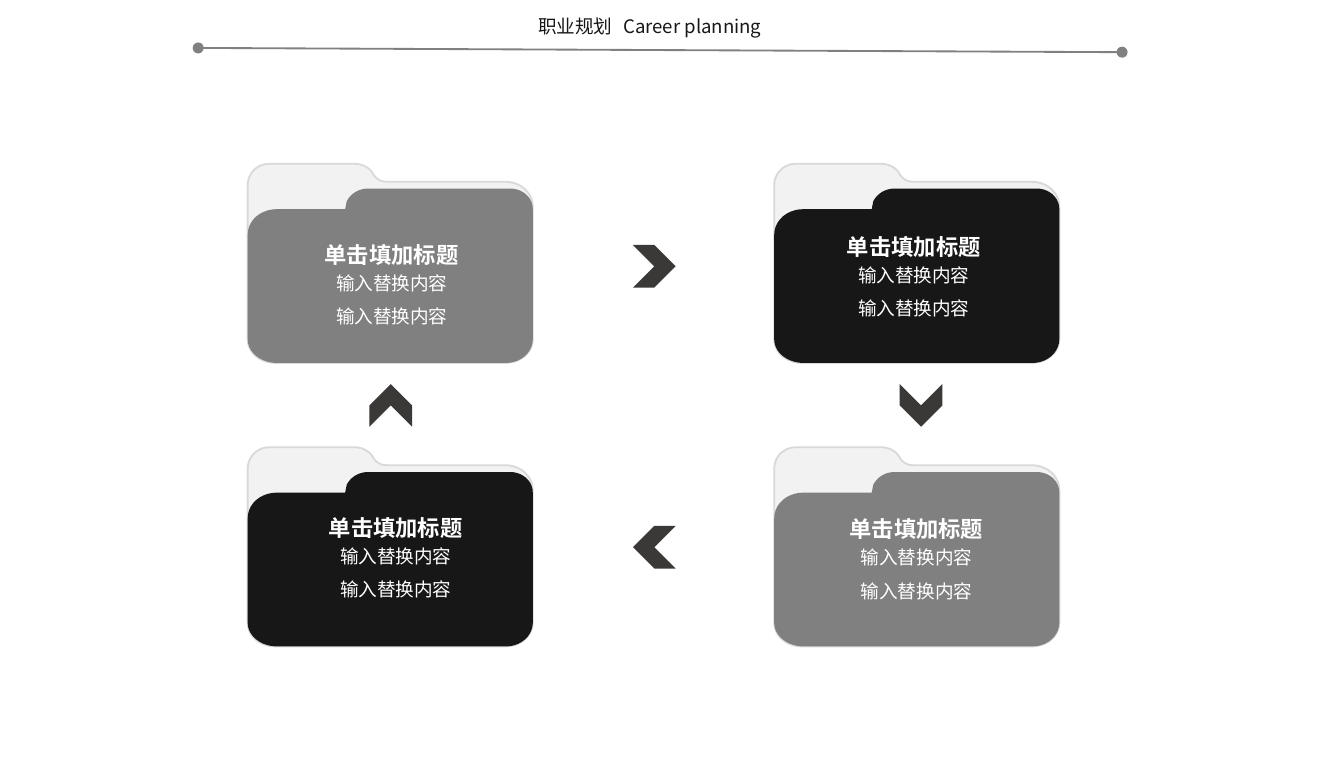
from lxml import etree
from pptx import Presentation
from pptx.dml.color import RGBColor
from pptx.enum import shapes, text
from pptx.oxml.ns import qn
from pptx.util import Cm, Pt

FONT = "Noto Sans CJK SC"
INK, GREY, WHITE, ARROW = "181717", "808080", "FFFFFF", "3B3838"
PAPER, EDGE = "F2F2F2", "D9D9D9"

# Folder outlines in cm: two numbers are a corner, six are a Bezier curve
FOLDER_BACK = [
    (0.41, 0), (2.03, 0), (2.16, 0, 2.29, 0.06, 2.36, 0.16), (2.39, 0.21),
    (2.44, 0.28, 2.51, 0.34, 2.64, 0.34), (4.88, 0.34),
    (5.18, 0.34, 5.41, 0.55, 5.41, 0.81), (5.41, 3.33),
    (5.41, 3.58, 5.18, 3.78, 4.88, 3.78), (0.53, 3.78),
    (0.23, 3.78, 0, 3.58, 0, 3.33), (0, 0.41), (0, 0.18, 0.18, 0, 0.41, 0),
]
FOLDER_FRONT = [
    (2.29, 0.47), (4.98, 0.47), (5.21, 0.47, 5.41, 0.63, 5.41, 0.86),
    (5.41, 3.33), (5.41, 3.58, 5.18, 3.78, 4.9, 3.78), (0.56, 3.78),
    (0.25, 3.78, 0, 3.58, 0, 3.33), (0, 1.35),
    (0, 1.07, 0.25, 0.86, 0.56, 0.86), (1.85, 0.86), (1.88, 0.71),
    (1.96, 0.56, 2.11, 0.47, 2.29, 0.47),
]


def rgb(value):
    return RGBColor.from_string(value)


def place(sp, x, y, w, h):
    sp.left, sp.top, sp.width, sp.height = Cm(x), Cm(y), Cm(w), Cm(h)


def write(sp, *lines, size=10, color=INK, bold=False, align="LEFT",
          before=0, spacing=None, wrap=True, inset=None):
    tf = sp.text_frame
    tf.word_wrap = wrap
    tf.auto_size = text.MSO_AUTO_SIZE.SHAPE_TO_FIT_TEXT
    tf.vertical_anchor = text.MSO_ANCHOR.TOP
    if inset is not None:
        tf.margin_left = tf.margin_right = Cm(inset)
        tf.margin_top = tf.margin_bottom = Cm(inset)
    for i, line in enumerate(lines):
        p = tf.add_paragraph() if i else tf.paragraphs[0]
        p.alignment = text.PP_ALIGN[align]
        p.space_before = Pt(before)
        p.line_spacing = spacing
        r = p.add_run()
        r.text = line
        r.font.size, r.font.bold, r.font.name = Pt(size), bold, FONT
        r.font.color.rgb = rgb(color)
        etree.SubElement(r.font._element, qn("a:ea"), typeface=FONT)


def add_text(slide, x, y, w, h, *lines, **fmt):
    write(slide.shapes.add_textbox(Cm(x), Cm(y), Cm(w), Cm(h)), *lines, **fmt)


def paint(sp, fill, line=None):
    sp.shadow.inherit = False
    sp.fill.solid()
    sp.fill.fore_color.rgb = rgb(fill)
    if line:
        sp.line.color.rgb = rgb(line)
        sp.line.width = Pt(1)
    else:
        sp.line.fill.background()


def outline_points(outline, steps=10):
    """Turn corners and Bezier curves into a list of points."""
    points = []
    for seg in outline:
        if len(seg) == 2:
            points.append(seg)
            continue
        ends = [points[-1], seg[0:2], seg[2:4], seg[4:6]]
        for i in range(1, steps + 1):
            t = i / steps
            weights = ((1 - t) ** 3, 3 * t * (1 - t) ** 2,
                       3 * t ** 2 * (1 - t), t ** 3)
            points.append(tuple(sum(k * pt[axis] for k, pt in zip(weights, ends))
                                for axis in (0, 1)))
    return points


def add_outline(slide, x, y, outline, fill, line=None):
    points = [(Cm(x + px), Cm(y + py)) for px, py in outline_points(outline)]
    builder = slide.shapes.build_freeform(*points[0])
    builder.add_line_segments(points[1:], close=True)
    paint(builder.convert_to_shape(), fill, line)


def add_folder(slide, x, y, color):
    add_outline(slide, x, y, FOLDER_BACK, PAPER, EDGE)
    add_outline(slide, x, y, FOLDER_FRONT, color)


def add_caption(slide, x, y):
    add_text(slide, x, y, 5.46, 1.32, "输入替换内容", "输入替换内容",
             color=WHITE, align="CENTER", before=6)
    add_text(slide, x + 0.99, y - 0.56, 3.48, 0.58, "单击填加标题", size=12,
             color=WHITE, bold=True, align="CENTER", before=3, spacing=1.2,
             inset=0)


def add_chevron(slide, x, y, rotation):
    sp = slide.shapes.add_shape(shapes.MSO_SHAPE.CHEVRON,
                                Cm(x), Cm(y), Cm(0.81), Cm(0.81))
    sp.rotation = rotation
    paint(sp, ARROW)


def add_dotted_end_line(slide, x1, y1, x2, y2):
    c = slide.shapes.add_connector(shapes.MSO_CONNECTOR.STRAIGHT,
                                   Cm(x1), Cm(y1), Cm(x2), Cm(y2))
    c.line.color.rgb = rgb(GREY)
    c.line.width = Pt(1)
    spPr = c._element.spPr
    ln = spPr.find(qn("a:ln"))
    for end in ("a:headEnd", "a:tailEnd"):
        etree.SubElement(ln, qn(end), type="oval")
    etree.SubElement(spPr, qn("a:effectLst"))


def main():
    prs = Presentation()
    prs.slide_width, prs.slide_height = Cm(25.5), Cm(14.5)
    slide = prs.slides.add_slide(prs.slide_layouts[5])

    # Heading and rule
    add_dotted_end_line(slide, 3.76, 0.91, 21.29, 0.99)
    title = slide.shapes.title
    place(title, 9.96, 0.15, 1.93, 0.69)
    write(title, "职业规划", wrap=False)
    add_text(slide, 11.58, 0.15, 3.23, 0.69, "Career planning", wrap=False)

    # Chevrons, clockwise from the top
    for x, y, rotation in ((12.01, 4.65, 0), (17.07, 7.29, 90),
                           (12.01, 9.98, 180), (7.01, 7.29, 270)):
        add_chevron(slide, x, y, rotation)

    # Folders on a two by two grid, colours alternating
    for row in range(2):
        for col in range(2):
            add_folder(slide, 4.7 + 9.99 * col, 3.11 + 5.38 * row,
                       (GREY, INK)[(row + col) % 2])

    # Captions on the folders
    for x, y in ((4.7, 5.03), (14.61, 4.88), (4.78, 10.21), (14.66, 10.24)):
        add_caption(slide, x, y)

    prs.save("out.pptx")


if __name__ == "__main__":
    main()
